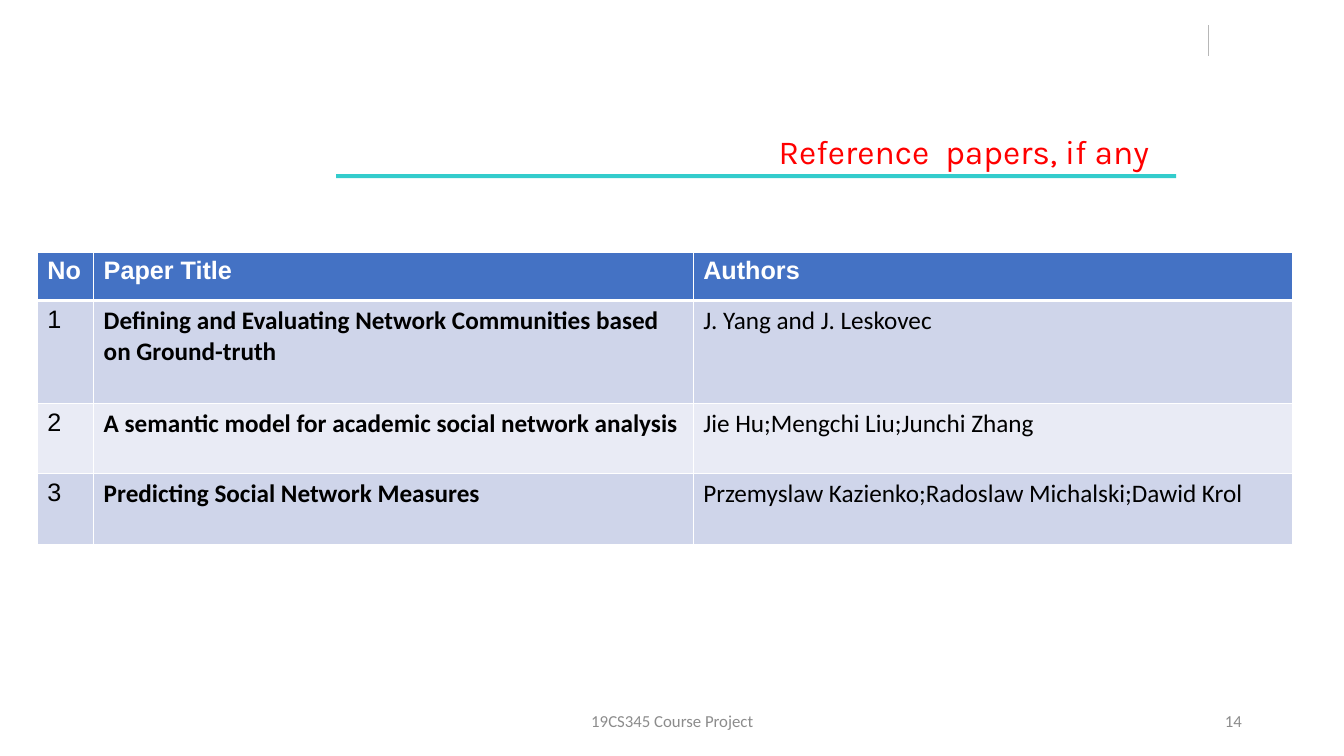
from dataclasses import dataclass

from lxml.etree import SubElement
from pptx import Presentation
from pptx.dml.color import RGBColor
from pptx.enum.shapes import MSO_CONNECTOR, MSO_SHAPE
from pptx.enum.text import MSO_ANCHOR, MSO_AUTO_SIZE, PP_ALIGN
from pptx.oxml.ns import qn
from pptx.util import Cm, Pt


@dataclass(frozen=True)
class Theme:
    title: str = "FF0000"
    accent: str = "33CCCC"
    divider: str = "B7B7B7"
    footer: str = "8C8C8C"
    header_fill: str = "4472C4"
    header_text: str = "FFFFFF"
    body_text: str = "000000"
    odd_row: str = "CFD5EA"
    even_row: str = "E9EBF5"
    border: str = "FFFFFF"
    title_size: int = 24
    table_size: int = 18
    footer_size: int = 12
    title_font: str = "Karla"
    body_font: str = "Calibri"
    table_font: str = "Arial"


THEME = Theme()

PAPERS = [
    ("No", "Paper Title", "Authors"),
    ("1", "Defining and Evaluating Network Communities based on Ground-truth",
     "J. Yang and J. Leskovec"),
    ("2", "A semantic model for academic social network analysis",
     "Jie Hu;Mengchi Liu;Junchi Zhang"),
    ("3", "Predicting Social Network Measures",
     "Przemyslaw Kazienko;Radoslaw Michalski;Dawid Krol"),
]
COLUMN_WIDTHS = (1.42, 15.11, 15.11)
ROW_HEIGHTS = (1.22, 2.59, 1.78, 1.78)


def rgb(color):
    return RGBColor.from_string(color)


def write_text(text_frame, text, *, size, color, font=THEME.body_font,
               bold=False, align=PP_ALIGN.LEFT):
    paragraph = text_frame.paragraphs[0]
    paragraph.alignment = align
    run = paragraph.add_run()
    run.text = text
    run.font.name = font
    run.font.size = Pt(size)
    run.font.bold = bold
    run.font.color.rgb = rgb(color)


def add_divider(slide, x, top, bottom):
    connector = slide.shapes.add_connector(
        MSO_CONNECTOR.STRAIGHT, Cm(x), Cm(top), Cm(x), Cm(bottom))
    connector.line.color.rgb = rgb(THEME.divider)
    connector.line.width = Pt(0.75)
    SubElement(connector._element.spPr, qn("a:effectLst"))


def add_bar(slide, left, top, width, height):
    shape = slide.shapes.add_shape(
        MSO_SHAPE.RECTANGLE, Cm(left), Cm(top), Cm(width), Cm(height))
    shape.shadow.inherit = False
    shape.fill.solid()
    shape.fill.fore_color.rgb = rgb(THEME.accent)
    shape.line.fill.background()


def set_title(slide, text, left, top, width, height):
    title = slide.shapes.title
    title.left, title.top = Cm(left), Cm(top)
    title.width, title.height = Cm(width), Cm(height)
    text_frame = title.text_frame
    text_frame.word_wrap = True
    text_frame.auto_size = MSO_AUTO_SIZE.NONE
    text_frame.vertical_anchor = MSO_ANCHOR.TOP
    text_frame.margin_right = Cm(0.68)
    write_text(text_frame, text, size=THEME.title_size, color=THEME.title,
               font=THEME.title_font, align=PP_ALIGN.RIGHT)


def add_footer(slide, text, left, width, align):
    box = slide.shapes.add_textbox(Cm(left), Cm(17.65), Cm(width), Cm(1.02))
    box.text_frame.word_wrap = True
    box.text_frame.vertical_anchor = MSO_ANCHOR.MIDDLE
    write_text(box.text_frame, text, size=THEME.footer_size,
               color=THEME.footer, align=align)


def set_borders(cell, top, bottom):
    properties = cell._tc.get_or_add_tcPr()
    for side, width in (("L", 1), ("R", 1), ("T", top), ("B", bottom)):
        line = SubElement(properties, qn(f"a:ln{side}"), w=str(Pt(width)))
        fill = SubElement(line, qn("a:solidFill"))
        SubElement(fill, qn("a:srgbClr"), val=THEME.border)


def format_cell(cell, text, row, column):
    is_header = row == 0
    # Borders come before the fill in the cell properties
    set_borders(cell, top=3 if row == 1 else 1, bottom=3 if is_header else 1)
    row_fill = THEME.odd_row if row % 2 else THEME.even_row
    cell.fill.solid()
    cell.fill.fore_color.rgb = rgb(THEME.header_fill if is_header else row_fill)
    write_text(
        cell.text_frame, text, size=THEME.table_size,
        color=THEME.header_text if is_header else THEME.body_text,
        font=THEME.table_font if is_header or column == 0 else THEME.body_font,
        bold=is_header or column == 1)


def add_paper_table(slide, left, top):
    table = slide.shapes.add_table(
        len(PAPERS), len(COLUMN_WIDTHS), Cm(left), Cm(top),
        Cm(sum(COLUMN_WIDTHS)), Cm(sum(ROW_HEIGHTS))).table
    for column, width in zip(table.columns, COLUMN_WIDTHS):
        column.width = Cm(width)
    for row, height in zip(table.rows, ROW_HEIGHTS):
        row.height = Cm(height)
    for row, paper in enumerate(PAPERS):
        for column, text in enumerate(paper):
            format_cell(table.cell(row, column), text, row, column)


def main():
    presentation = Presentation()
    presentation.slide_width, presentation.slide_height = Cm(33.87), Cm(19.05)
    title_only = presentation.slide_layouts[5]
    slide = presentation.slides.add_slide(title_only)

    # Heading
    add_divider(slide, 30.45, 0.64, 1.4)
    add_bar(slide, 8.47, 4.39, 21.17, 0.1)
    set_title(slide, "Reference  papers, if any", 8.05, 3.18, 21.59, 1.27)

    # Footer
    add_footer(slide, "19CS345 Course Project", 11.23, 11.43, PP_ALIGN.CENTER)
    add_footer(slide, "14", 23.93, 7.62, PP_ALIGN.RIGHT)

    # Reference list
    add_paper_table(slide, 0.94, 6.35)

    presentation.save("out.pptx")


if __name__ == "__main__":
    main()
